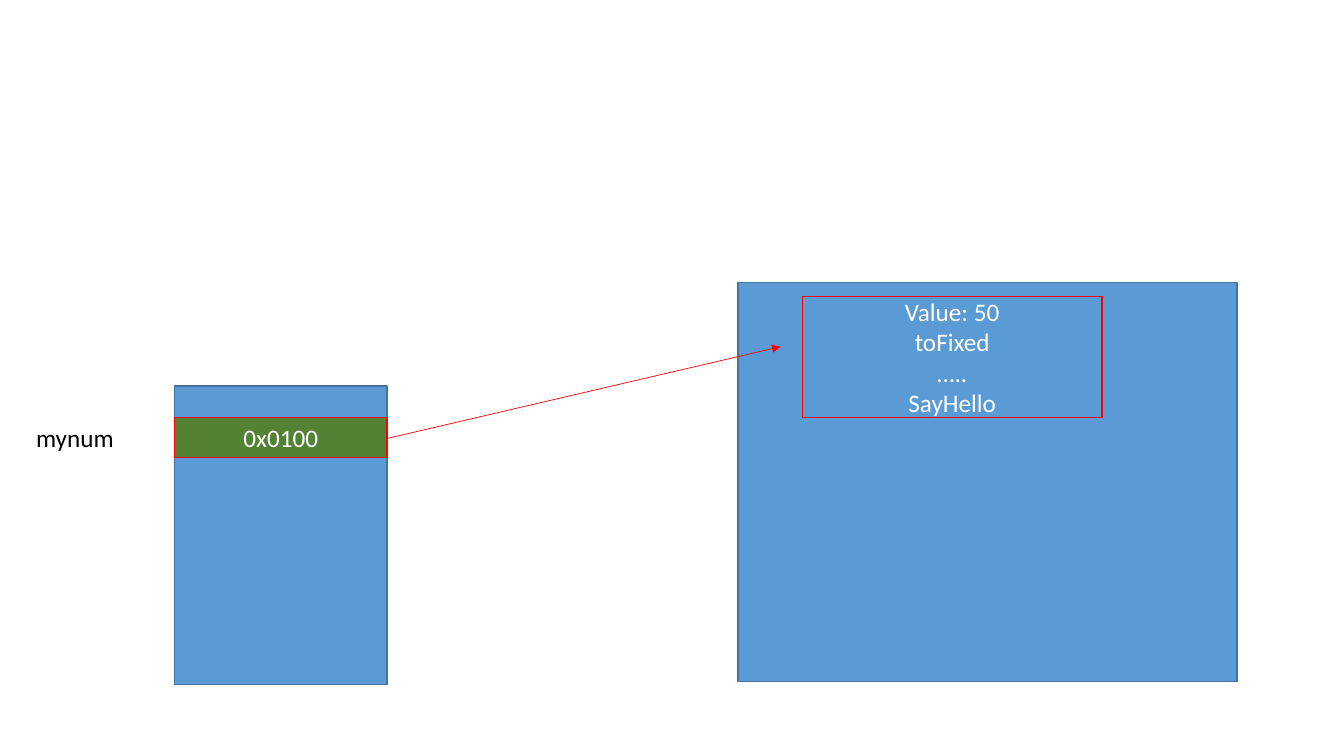
"""Build a slide showing a stack variable that points to an object on the heap."""
from lxml import etree
from pptx import Presentation
from pptx.dml.color import RGBColor
from pptx.enum.shapes import MSO_CONNECTOR, MSO_SHAPE
from pptx.enum.text import MSO_ANCHOR, PP_ALIGN
from pptx.oxml.ns import qn
from pptx.util import Inches, Pt

BLUE = RGBColor(0x5B, 0x9B, 0xD5)
NAVY = RGBColor(0x43, 0x73, 0x9E)
GREEN = RGBColor(0x54, 0x82, 0x35)
RED = RGBColor(0xFF, 0x00, 0x00)
WHITE = RGBColor(0xFF, 0xFF, 0xFF)
BLACK = RGBColor(0x00, 0x00, 0x00)
RECT = MSO_SHAPE.RECTANGLE
STRAIGHT = MSO_CONNECTOR.STRAIGHT
MIDDLE = MSO_ANCHOR.MIDDLE
LEFT, CENTER = PP_ALIGN.LEFT, PP_ALIGN.CENTER


def write(tf, lines, color, align):
    tf.word_wrap = True
    for i, line in enumerate(lines):
        p = tf.add_paragraph() if i else tf.paragraphs[0]
        p.text = line
        p.alignment = align
        p.font.name = "Calibri"
        p.font.size = Pt(18)
        p.font.color.rgb = color


def add_box(left, top, width, height, fill, line, lines=()):
    sp = s.shapes.add_shape(RECT, Inches(left), Inches(top), Inches(width), Inches(height))
    sp.shadow.inherit = False
    sp.fill.solid()
    sp.fill.fore_color.rgb = fill
    sp.line.color.rgb = line
    sp.line.width = Pt(1)
    sp.text_frame.vertical_anchor = MIDDLE
    write(sp.text_frame, lines, WHITE, CENTER)


prs = Presentation()
prs.slide_width = Inches(13.33)
prs.slide_height = Inches(7.5)
s = prs.slides.add_slide(prs.slide_layouts[6])

add_box(1.73, 3.83, 2.11, 2.96, BLUE, NAVY)

label = s.shapes.add_textbox(Inches(0.26), Inches(4.14), Inches(1.36), Inches(0.4))
write(label.text_frame, ["mynum"], BLACK, LEFT)

add_box(1.73, 4.14, 2.11, 0.4, GREEN, RED, ["0x0100"])
add_box(7.32, 2.8, 4.95, 3.96, BLUE, NAVY)

arrow = s.shapes.add_connector(STRAIGHT, Inches(3.84), Inches(4.35), Inches(7.74), Inches(3.44))
arrow.line.color.rgb = RED
arrow.line.width = Pt(0.5)
etree.SubElement(arrow.line._get_or_add_ln(), qn("a:tailEnd"), type="triangle")
etree.SubElement(arrow._element.spPr, qn("a:effectLst"))

add_box(7.96, 2.94, 2.97, 1.2, BLUE, RED, ["Value: 50", "toFixed", "…..", "SayHello"])

prs.save("out.pptx")
